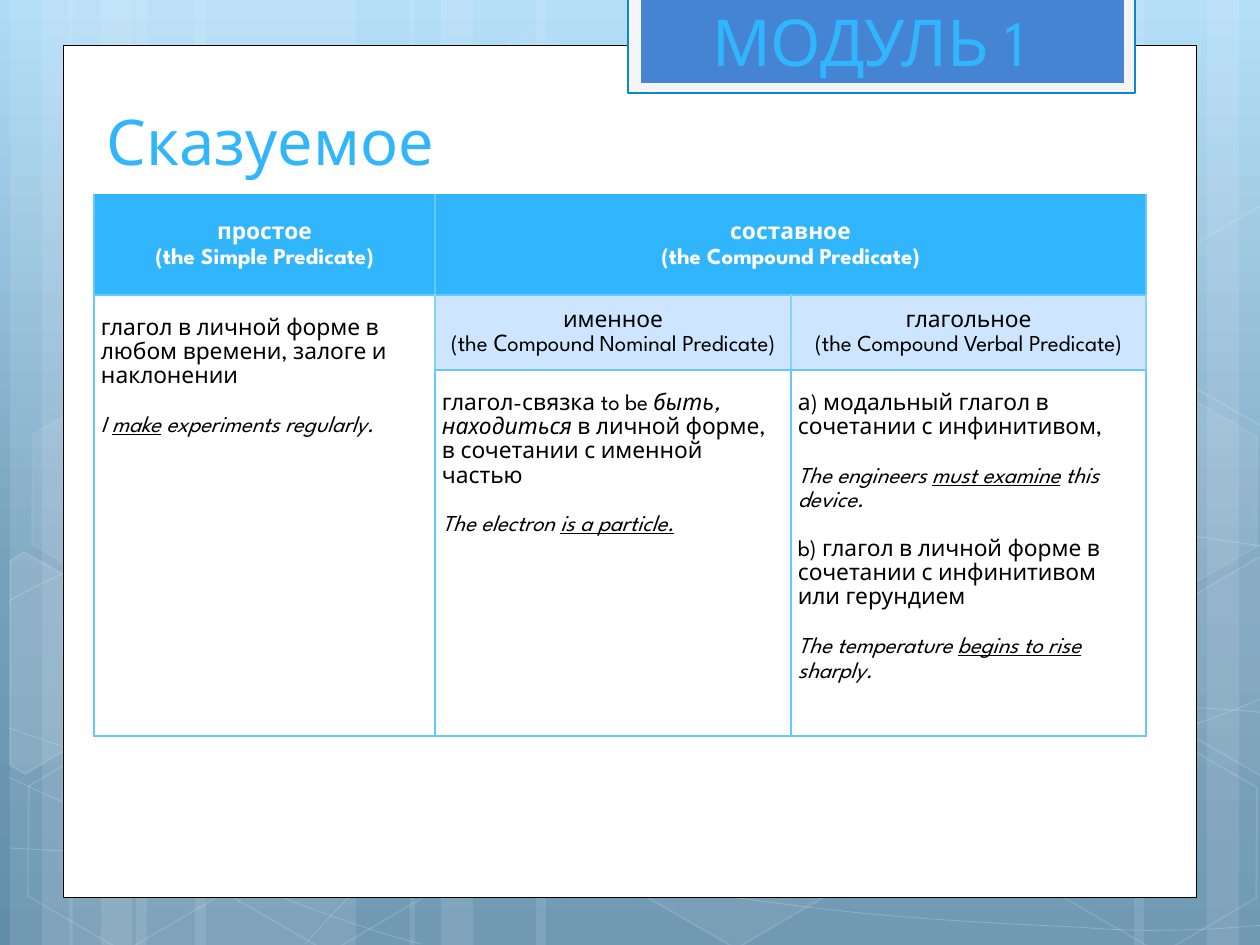
from lxml.etree import SubElement
from pptx import Presentation
from pptx.dml.color import RGBColor
from pptx.enum.shapes import MSO_SHAPE as Shape
from pptx.enum.text import MSO_ANCHOR as Anchor, PP_ALIGN as Align
from pptx.oxml import parse_xml
from pptx.oxml.ns import nsdecls, qn
from pptx.util import Emu, Pt

FONT, SKY, PALE, WHITE, BLACK = "League Spartan", "31B6FD", "66C8FE", "FFFFFF", "000000"
BACKDROP = [(0, "ADDBF8"), (62, "75A0BC"), (100, "618EAB")]
STRIPES = [(136, 220), (10, 63), (42, 105), (195, 220), (69, 63), (101, 105),
           (924, 220), (1207, 63), (1134, 105), (536, 388), (410, 63), (441, 105)]
CURVES = [
    [(9, 848), (77, 852), (145, 855), (239, 854), (334, 853), (451, 851), (577, 838),
     (703, 825), (882, 801), (998, 777), (1113, 753), (1231, 716), (1269, 694)],
    [(9, 601), (45, 581), (82, 562), (152, 543), (224, 524), (326, 496), (437, 488),
     (549, 479), (685, 478), (824, 488), (963, 498), (1193, 537), (1269, 547)],
    [(8, 777), (160, 847), (311, 916), (421, 944)],
    [(9, 728), (48, 742), (88, 756), (161, 776), (234, 795), (344, 827), (450, 848),
     (554, 869), (687, 892), (791, 905), (896, 919), (1008, 924), (1075, 927),
     (1140, 932), (1158, 930), (1191, 930), (1223, 929), (1246, 926), (1269, 925)],
    [(305, 944), (328, 919), (350, 893), (381, 871), (412, 848), (454, 823), (489, 805),
     (524, 788), (546, 780), (592, 767), (638, 755), (722, 737), (766, 728),
     (811, 719), (818, 719), (857, 717), (896, 713), (958, 709), (1000, 708),
     (1045, 707), (1116, 708), (1116, 708), (1144, 708), (1173, 708), (1201, 708),
     (1223, 709), (1245, 711), (1268, 713)],
]
HEXAGONS = [(421, 45, 4, 8), (626, 742, 6, 12), (14, 745, 0, 12), (18, 393, 7, 8),
            (219, 746, 0, 12), (949, 571, 10, 12), (1051, 747, 0, 12), (1051, 396, 7, 8)]
CUT_HEXAGONS = [
    ([(10, 561), (24, 552), (121, 607), (120, 718), (25, 774), (10, 765)], 10),
    ([(1167, 611), (1261, 556), (1271, 562), (1271, 772), (1263, 777), (1167, 722)], 4),
    ([(1167, 261), (1261, 205), (1273, 212), (1271, 422), (1263, 427), (1167, 372)], 0),
]
PANELS = [((63, 45, 1134, 853), WHITE, BLACK, 0.5),
          ((628, -3, 507, 96), "F5F5F5", "0B87D6", 1.25),
          ((641, -3, 483, 86), "4584D3", None, 0)]
TITLES = [("Сказуемое", (94, 95, 983, 89), 36), ("МОДУЛЬ 1", (700, 0, 377, 86), 37)]

TABLE_AT, COLUMNS, ROWS = (94, 195), (341, 356, 355), (100, 75, 366)
STYLES = {
    "head": {"fill": SKY, "color": WHITE, "edges": (PALE, PALE, SKY, SKY), "bold": True,
             "center": True},
    "sub": {"fill": "CDE5FE", "color": BLACK, "edges": ("83D3FE", "83D3FE", PALE, PALE),
            "bold": False, "center": True},
    "body": {"fill": WHITE, "color": BLACK, "edges": (PALE,) * 4, "bold": False,
             "center": False},
}
MERGES = [((0, 1), (0, 2)), ((1, 0), (2, 0))]
CELLS = [
    (0, 0, "head", [[("простое", "")], [("(the Simple Predicate)", "")]]),
    (0, 1, "head", [[("составное", "")], [("(the Compound Predicate)", "")]]),
    (1, 0, "body", [
        [("глагол в личной форме в любом времени, залоге и наклонении", "")],
        [("I ", "i"), ("make", "iu"), (" experiments regularly.", "i")]]),
    (1, 1, "sub", [[("именное", "")], [("(the Сompound Nominal Predicate)", "")]]),
    (1, 2, "sub", [[("глагольное", "")], [("(the Compound Verbal Predicate)", "")]]),
    (2, 1, "body", [
        [("глагол-связка to be ", ""), ("быть, находиться", "i"),
         (" в личной форме, в сочетании с именной частью", "")],
        [("The electron ", "i"), ("is a particle.", "iu")]]),
    (2, 2, "body", [
        [("а) модальный глагол в сочетании с инфинитивом,", "")],
        [("The engineers ", "i"), ("must examine", "iu"), (" this device.", "i")],
        [("b) глагол в личной форме в сочетании с инфинитивом или герундием", "")],
        [("The temperature ", "i"), ("begins to rise", "iu"), (" sharply.", "i")]]),
]


def px(value):
    return Emu(round(value * 914400 / 126))


def rgb(code):
    return RGBColor.from_string(code)


def assign(target, values):
    for name, value in values.items():
        setattr(target, name, value)


def paint(shape, fill=None, alpha=100, line=None, width=1, line_alpha=100):
    shape.shadow.inherit = False
    for part, color in ((shape.fill, fill), (shape.line.fill, line)):
        if color:
            part.solid()
            part.fore_color.rgb = rgb(color)
        else:
            part.background()
    if line:
        shape.line.width = Pt(width)
    for steps, opacity in ((("a:solidFill",), alpha), (("a:ln", "a:solidFill"), line_alpha)):
        if opacity < 100:
            route = "/".join(qn(step) for step in (*steps, "a:srgbClr"))
            for color in shape.element.spPr.findall(route):
                SubElement(color, qn("a:alpha"), val=str(opacity * 1000))


def add_outline(page, points, close):
    start, *rest = [(px(x), px(y)) for x, y in points]
    builder = page.shapes.build_freeform(*start)
    builder.add_line_segments(rest, close=close)
    return builder.convert_to_shape()


def add_curve(page, knots):
    curve = add_outline(page, knots, False)
    lines = list(curve.element.iter(qn("a:lnTo")))
    for first in range(0, len(lines), 3):
        bezier = SubElement(lines[first].getparent(), qn("a:cubicBezTo"))
        for line in lines[first:first + 3]:
            bezier.append(line[0])
            line.getparent().remove(line)
    return curve


def add_span(para, text, size, color, **extra):
    span = para.add_run()
    span.text = text
    assign(span.font, {"name": FONT, "size": Pt(size), **extra})
    span.font.color.rgb = rgb(color)


def draw_backdrop(page):
    stops = "".join(f'<a:gs pos="{at * 1000}"><a:srgbClr val="{color}"/></a:gs>'
                    for at, color in BACKDROP)
    page.element.cSld.insert(0, parse_xml(
        f'<p:bg {nsdecls("p", "a")}><p:bgPr><a:gradFill><a:gsLst>{stops}</a:gsLst>'
        '<a:lin ang="5400000" scaled="0"/></a:gradFill><a:effectLst/></p:bgPr></p:bg>'))
    for left, width in STRIPES:
        stripe = page.shapes.add_shape(Shape.RECTANGLE, px(left), 0, px(width), px(945))
        paint(stripe, WHITE, 10)
    for knots in CURVES:
        paint(add_curve(page, knots), line=WHITE, width=0.5, line_alpha=20)
    for left, top, alpha, line_alpha in HEXAGONS:
        hexagon = page.shapes.add_shape(Shape.HEXAGON, px(left), px(top), px(220), px(192))
        hexagon.adjustments[0] = 0.285
        hexagon.rotation = 30
        paint(hexagon, WHITE if alpha else None, alpha, WHITE, 1, line_alpha)
    for points, alpha in CUT_HEXAGONS:
        paint(add_outline(page, points, True), WHITE if alpha else None, alpha, WHITE, 1, 12)


def add_edges(cell, colors):
    props = cell._tc.get_or_add_tcPr()
    for index, (side, color) in enumerate(zip("LRTB", colors)):
        props.insert(index, parse_xml(
            f'<a:ln{side} {nsdecls("a")} w="12700"><a:solidFill>'
            f'<a:srgbClr val="{color}"/></a:solidFill></a:ln{side}>'))


def fill_cell(cell, style, paras):
    center = style["center"]
    assign(cell, {"margin_left": px(7), "margin_right": px(7), "margin_bottom": 0,
                  "margin_top": px(0 if center else 21),
                  "vertical_anchor": Anchor.MIDDLE if center else Anchor.TOP})
    frame = cell.text_frame
    for index, spans in enumerate(paras):
        para = frame.add_paragraph() if index else frame.paragraphs[0]
        assign(para, {"line_spacing": 1.15 if center else Pt(13.9),
                      "alignment": Align.CENTER if center else Align.LEFT,
                      "space_before": Pt(14 if index and not center else 0)})
        for text, marks in spans:
            add_span(para, text, 13, style["color"], bold=style["bold"],
                     italic="i" in marks, underline="u" in marks)


def draw_table(page):
    size = (px(sum(COLUMNS)), px(sum(ROWS)))
    table = page.shapes.add_table(len(ROWS), len(COLUMNS), *map(px, TABLE_AT), *size).table
    for column, width in zip(table.columns, COLUMNS):
        column.width = px(width)
    for row, height in zip(table.rows, ROWS):
        row.height = px(height)
    for first, last in MERGES:
        table.cell(*first).merge(table.cell(*last))
    kinds = {(row, column): kind for row, column, kind, _ in CELLS}
    kinds.update({last: kinds[first] for first, last in MERGES})
    for spot, kind in kinds.items():
        cell, style = table.cell(*spot), STYLES[kind]
        cell.fill.solid()
        cell.fill.fore_color.rgb = rgb(style["fill"])
        add_edges(cell, style["edges"])
    for row, column, kind, paras in CELLS:
        fill_cell(table.cell(row, column), STYLES[kind], paras)


def main():
    """Build the slide on kinds of predicate."""
    deck = Presentation()
    assign(deck, {"slide_width": px(1260), "slide_height": px(945)})
    page = deck.slides.add_slide(deck.slide_layouts[6])
    draw_backdrop(page)
    for place, fill, line, width in PANELS:
        paint(page.shapes.add_shape(Shape.RECTANGLE, *map(px, place)), fill, line=line, width=width)
    for text, place, size in TITLES:
        frame = page.shapes.add_textbox(*map(px, place)).text_frame
        assign(frame, {"word_wrap": True, "vertical_anchor": Anchor.BOTTOM})
        add_span(frame.paragraphs[0], text, size, SKY)
    draw_table(page)
    deck.save("out.pptx")


if __name__ == "__main__":
    main()
